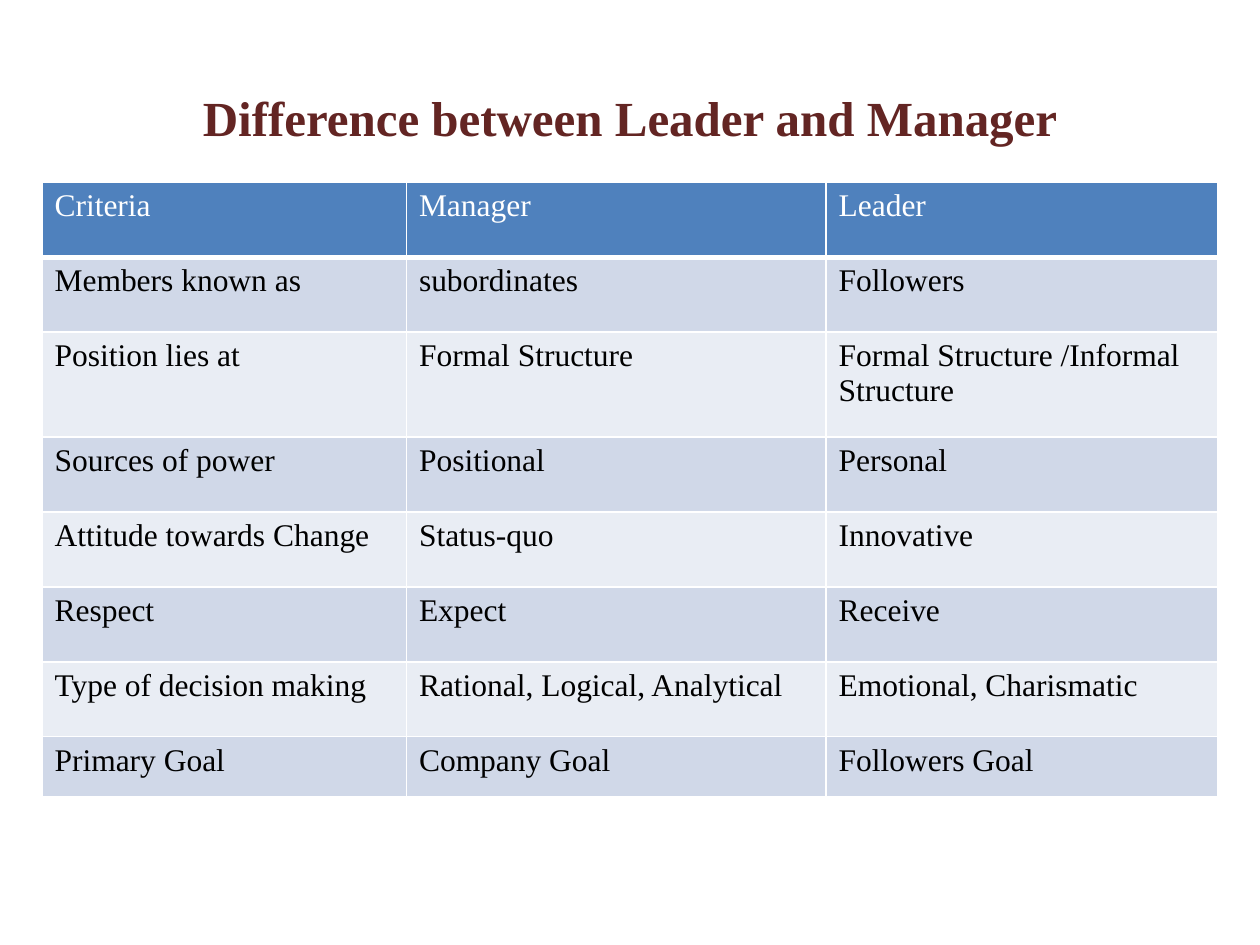
from typing import NamedTuple

from lxml.etree import SubElement
from pptx import Presentation
from pptx.dml.color import RGBColor
from pptx.enum.text import MSO_ANCHOR, PP_ALIGN
from pptx.oxml.ns import qn
from pptx.util import Inches, Pt

SLIDE_WIDTH, SLIDE_HEIGHT = Inches(10), Inches(7.5)
FONT = "Times New Roman"
COLORS = {
    "title": "632523",
    "header": "4F81BD",
    "odd": "D0D8E8",
    "even": "E9EDF4",
    "line": "FFFFFF",
    "header_text": "FFFFFF",
    "body_text": "000000",
}


class Box(NamedTuple):
    """Left, top, width and height as shares of the slide's size."""
    left: float
    top: float
    width: float
    height: float

    def lengths(self) -> tuple[int, int, int, int]:
        return (int(self.left * SLIDE_WIDTH), int(self.top * SLIDE_HEIGHT),
                int(self.width * SLIDE_WIDTH), int(self.height * SLIDE_HEIGHT))


class Row(NamedTuple):
    units: int  # height in grid units
    texts: tuple[str, str, str]


TITLE_BOX = Box(0.05, 0.04, 0.9, 1 / 6)
TABLE_BOX = Box(1 / 30, 0.193, 0.933, 0.65)
COLUMN_SHARES = (0.31, 0.357, 0.333)
ROWS = [
    Row(5, ("Criteria", "Manager", "Leader")),
    Row(5, ("Members known as", "subordinates", "Followers")),
    Row(7, ("Position lies at", "Formal Structure", "Formal Structure /Informal Structure")),
    Row(5, ("Sources of power", "Positional", "Personal")),
    Row(5, ("Attitude towards Change", "Status-quo", "Innovative")),
    Row(5, ("Respect", "Expect", "Receive")),
    Row(5, ("Type of decision making", "Rational, Logical, Analytical", "Emotional, Charismatic")),
    Row(4, ("Primary Goal", "Company Goal", "Followers Goal")),
]


def write(text_frame, text: str, color: str, **formats) -> None:
    paragraph = text_frame.paragraphs[0]
    run = paragraph.add_run()
    run.text = text
    for name, value in {"name": FONT, **formats}.items():
        setattr(run.font, name, value)
    run.font.color.rgb = RGBColor.from_string(COLORS[color])


def set_borders(cell, bottom_points: float) -> None:
    """Draw the four cell borders; call before the fill is set."""
    properties = cell._tc.get_or_add_tcPr()
    for side, points in {"L": 1, "R": 1, "T": 1, "B": bottom_points}.items():
        line = SubElement(properties, qn(f"a:ln{side}"), w=str(Pt(points)))
        fill = SubElement(line, qn("a:solidFill"))
        SubElement(fill, qn("a:srgbClr"), val=COLORS["line"])


def add_title(slide, text: str) -> None:
    frame = slide.shapes.add_textbox(*TITLE_BOX.lengths()).text_frame
    frame.word_wrap = True
    frame.vertical_anchor = MSO_ANCHOR.MIDDLE
    write(frame, text, "title", size=Pt(28), bold=True)
    frame.paragraphs[0].alignment = PP_ALIGN.CENTER


def add_comparison_table(slide, rows: list[Row]) -> None:
    left, top, width, height = TABLE_BOX.lengths()
    table = slide.shapes.add_table(
        len(rows), len(COLUMN_SHARES), left, top, width, height).table
    for column, share in zip(table.columns, COLUMN_SHARES):
        column.width = int(width * share)

    unit = height / sum(row.units for row in rows)
    for row_index, row in enumerate(rows):
        table.rows[row_index].height = int(row.units * unit)
        is_header = row_index == 0
        fill = "header" if is_header else ("even", "odd")[row_index % 2]
        for column_index, text in enumerate(row.texts):
            cell = table.cell(row_index, column_index)
            set_borders(cell, 3 if is_header else 1)
            cell.fill.solid()
            cell.fill.fore_color.rgb = RGBColor.from_string(COLORS[fill])
            write(cell.text_frame, text, "header_text" if is_header else "body_text",
                  size=Pt(18), bold=False)


def main() -> None:
    presentation = Presentation()
    presentation.slide_width, presentation.slide_height = SLIDE_WIDTH, SLIDE_HEIGHT
    slide = presentation.slides.add_slide(presentation.slide_layouts[6])
    # Heading
    add_title(slide, "Difference between Leader and Manager")
    # Comparison by criteria
    add_comparison_table(slide, ROWS)
    presentation.save("out.pptx")


if __name__ == "__main__":
    main()
